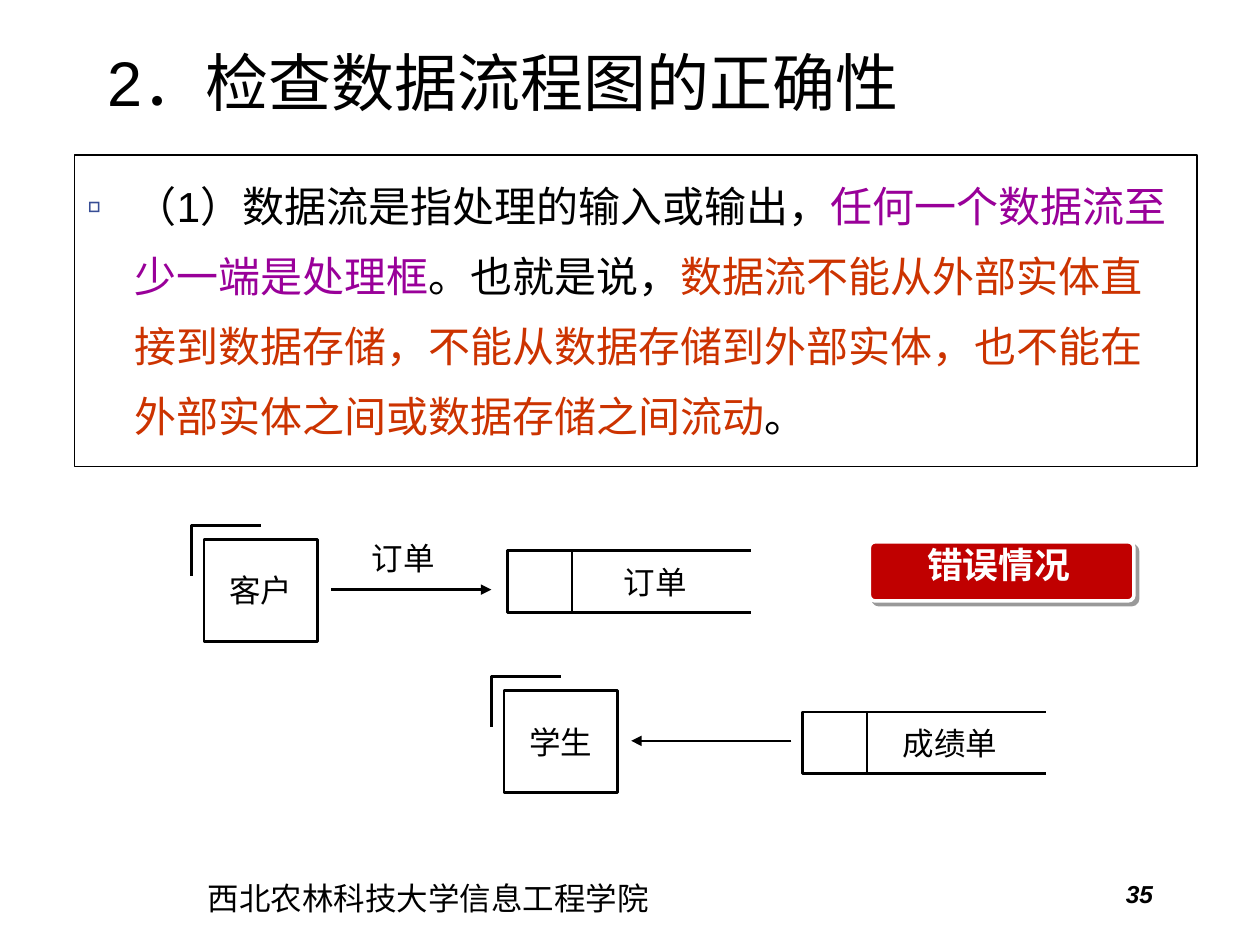
"""Build the slide on checking data flow diagrams."""
from dataclasses import dataclass
from typing import Optional

from lxml.etree import SubElement as Sub
from pptx import Presentation
from pptx.dml.color import RGBColor
from pptx.enum.shapes import MSO_CONNECTOR as Link, MSO_SHAPE as Kind
from pptx.enum.text import MSO_ANCHOR as Anchor, MSO_AUTO_SIZE as Fit, PP_ALIGN as Align
from pptx.oxml.ns import qn
from pptx.util import Inches, Pt

BLACK = RGBColor(0x00, 0x00, 0x00)
WHITE = RGBColor(0xFF, 0xFF, 0xFF)
RED = RGBColor(0xC0, 0x00, 0x00)
ORANGE = RGBColor(0xCC, 0x33, 0x00)
PURPLE = RGBColor(0x99, 0x00, 0x99)
BLUE = RGBColor(0x37, 0x4D, 0x95)
SANS = "Noto Sans CJK SC"
LABEL = {"name": SANS, "size": Pt(18)}


@dataclass
class Flow:
    name: str
    left: float
    top: float
    store: str
    shelf: float
    level: float
    start: float
    end: float
    tag: Optional[str] = None


FLOWS = [
    Flow("客户", 1.62, 4.28, "订单", 4.03, 4.37, 2.63, 3.9, "订单"),
    Flow("学生", 4, 5.48, "成绩单", 6.37, 5.65, 6.28, 5.01),
]


def apply(item, form: dict) -> None:
    for key, value in form.items():
        setattr(item, key, value)


def write(para, text: str, form: dict, color: RGBColor = BLACK) -> None:
    run = para.add_run()
    run.text = text
    apply(run.font, form)
    run.font.color.rgb = color
    Sub(run.font._element, qn("a:ea"), typeface=SANS)


def place(shape, *area: float) -> None:
    apply(shape, dict(zip(("left", "top", "width", "height"), map(Inches, area))))


def label(slide, text: str, area: tuple, form: dict, align=Align.CENTER, color=BLACK):
    box = slide.shapes.add_textbox(*map(Inches, area))
    box.text_frame.word_wrap = True
    para = box.text_frame.paragraphs[0]
    para.alignment = align
    write(para, text, form, color)
    return para


def stroke(shape, width: float = 1.5, color: RGBColor = BLACK) -> None:
    shape.line.color.rgb = color
    shape.line.width = Pt(width)


def frame(slide, *area: float):
    box = slide.shapes.add_shape(Kind.RECTANGLE, *map(Inches, area))
    box.shadow.inherit = False
    box.fill.background()
    stroke(box)
    return box


def rule(slide, start: float, end: float, y: float, arrow: bool = False) -> None:
    line = slide.shapes.add_connector(Link.STRAIGHT, *map(Inches, (start, y, end, y)))
    stroke(line)
    if arrow:
        Sub(line.line._get_or_add_ln(), qn("a:tailEnd"), type="triangle")
    Sub(line._element.spPr, qn("a:effectLst"))


def entity(slide, name: str, x: float, y: float) -> None:
    pen = slide.shapes.build_freeform(Inches(x - 0.1), Inches(y + 0.29))
    points = [(x - 0.1, y - 0.11), (x + 0.45, y - 0.11)]
    pen.add_line_segments([(Inches(a), Inches(b)) for a, b in points], close=False)
    edge = pen.convert_to_shape()
    edge.shadow.inherit = False
    edge.fill.background()
    stroke(edge)
    text = frame(slide, x, y, 0.9, 0.81).text_frame
    apply(text, {"word_wrap": False, "vertical_anchor": Anchor.MIDDLE})
    text.paragraphs[0].alignment = Align.CENTER
    write(text.paragraphs[0], name, LABEL)


def store(slide, name: str, x: float, y: float) -> None:
    label(slide, name, (x + 0.63, y + 0.05, 1.08, 0.4), LABEL)
    for level in (y, y + 0.49):
        rule(slide, x + 0.51, x + 1.93, level)
    frame(slide, x, y, 0.51, 0.49)


def draw(slide, flow: Flow) -> None:
    store(slide, flow.store, flow.shelf, flow.level)
    rule(slide, flow.start, flow.end, flow.top + 0.4, arrow=True)
    if flow.tag:
        label(slide, flow.tag, (2.71, 4.23, 0.98, 0.4), LABEL)
    entity(slide, flow.name, flow.left, flow.top)


def head(slide) -> None:
    title = slide.shapes.title
    place(title, 0.75, 0.3, 8.75, 0.69)
    apply(title.text_frame, {"auto_size": Fit.NONE, "vertical_anchor": Anchor.MIDDLE})
    para = title.text_frame.paragraphs[0]
    para.alignment = Align.LEFT
    write(para, "2．检查数据流程图的正确性", {"name": "Arial", "size": Pt(36)})


def body(slide) -> None:
    box = slide.placeholders[1]
    place(box, 0.59, 1.23, 8.91, 2.47)
    stroke(box, 0.75)
    box.text_frame.auto_size = Fit.NONE
    para = box.text_frame.paragraphs[0]
    apply(para, {"line_spacing": Pt(40), "space_before": Pt(0)})
    props = para._p.get_or_add_pPr()
    props.set("marL", str(Inches(0.38)))
    props.set("indent", str(-Inches(0.38)))
    Sub(Sub(props, qn("a:buClr")), qn("a:srgbClr"), val=str(BLUE))
    Sub(props, qn("a:buChar"), char="▫")
    parts = [
        ("（1）数据流是指处理的输入或输出，", BLACK),
        ("任何一个数据流至少一端是处理框", PURPLE),
        ("。也就是说，", BLACK),
        ("数据流不能从外部实体直接到数据存储，不能从数据存储到外部实体，"
         "也不能在外部实体之间或数据存储之间流动", ORANGE),
        ("。", BLACK),
    ]
    for text, color in parts:
        write(para, text, {"name": "Arial", "size": Pt(24)}, color)


def badge(slide) -> None:
    box = slide.shapes.add_shape(Kind.ROUNDED_RECTANGLE, *map(Inches, (6.9, 4.3, 2.1, 0.47)))
    box.adjustments[0] = 0.1
    box.fill.solid()
    box.fill.fore_color.rgb = RED
    stroke(box, 2, WHITE)
    box.shadow.inherit = False
    glow = Sub(box._element.spPr.find(qn("a:effectLst")), qn("a:outerShdw"),
               dist=str(Pt(3)), dir="2700000", algn="ctr", rotWithShape="0")
    Sub(Sub(glow, qn("a:srgbClr"), val=str(BLACK)), qn("a:alpha"), val="40000")
    form = {"name": SANS, "size": Pt(20.4), "bold": True}
    para = label(slide, "错误情况", (6.93, 4.35, 1.99, 0.36), form, color=WHITE)
    para.line_spacing = 0.7


def main() -> None:
    deck = Presentation()
    apply(deck, {"slide_width": Inches(10), "slide_height": Inches(7.5)})
    slide = deck.slides.add_slide(deck.slide_layouts[1])
    head(slide)
    body(slide)
    for flow in FLOWS:
        draw(slide, flow)
    badge(slide)
    label(slide, "西北农林科技大学信息工程学院", (1.55, 6.93, 6.61, 0.52),
          {"name": "Arial", "size": Pt(18)}, Align.LEFT)
    label(slide, "35", (6.92, 6.93, 2.33, 0.52),
          {"name": "Arial", "size": Pt(14), "bold": True, "italic": True}, Align.RIGHT)
    deck.save("out.pptx")


if __name__ == "__main__":
    main()
